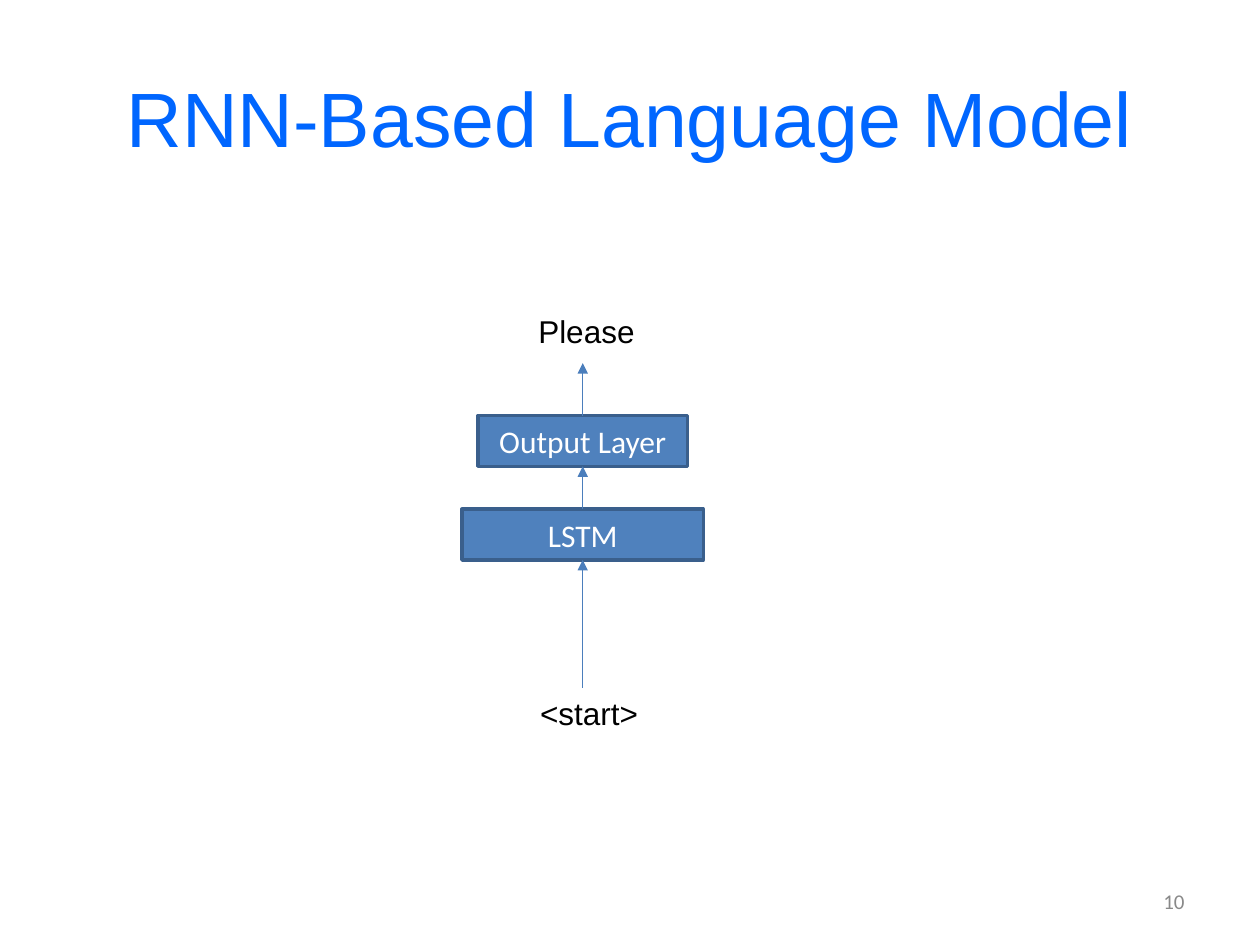
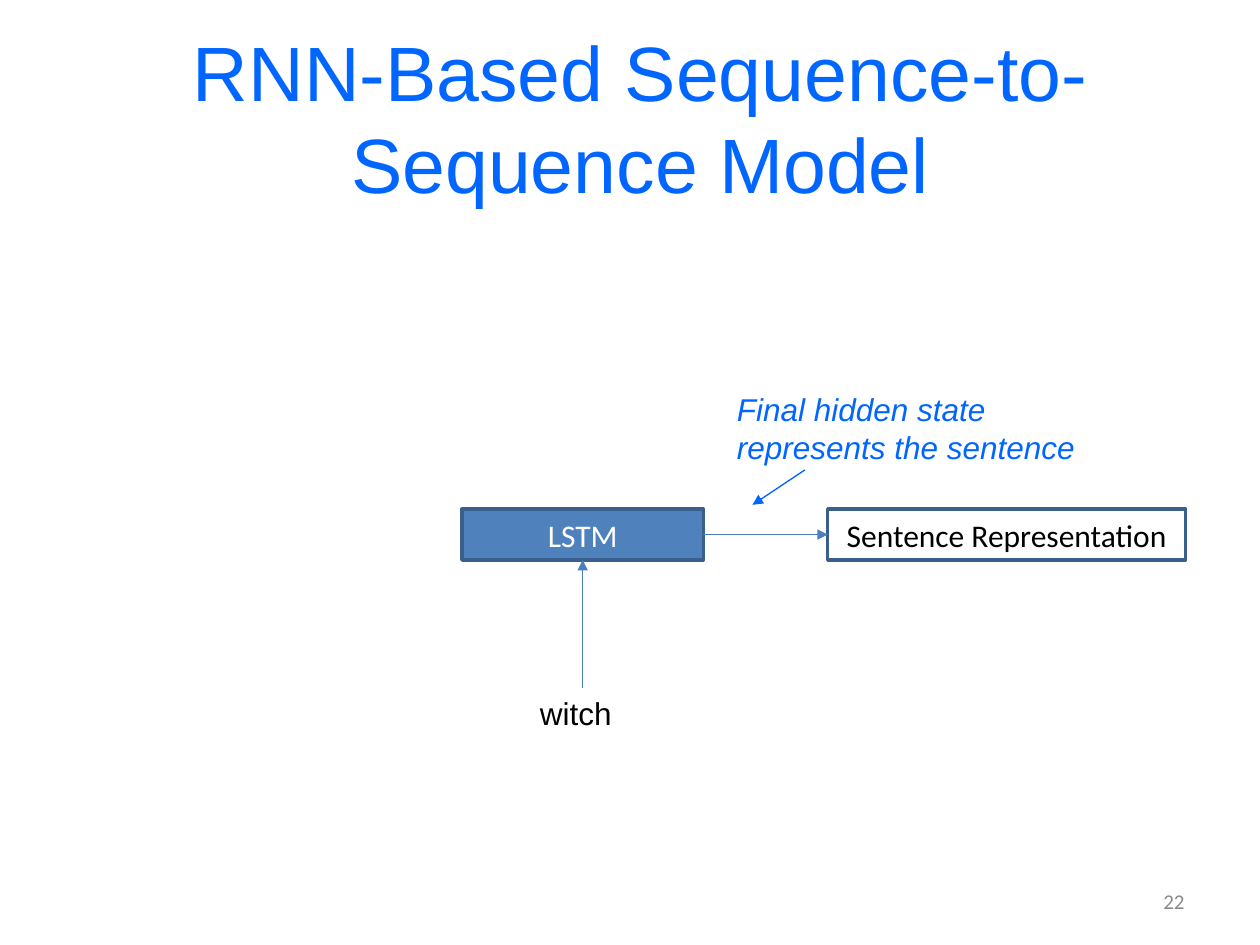
import pptx
import pptx.dml.color
import pptx.enum.shapes
import pptx.enum.text
import pptx.util
from lxml import etree

Pt = pptx.util.Pt
RGBColor = pptx.dml.color.RGBColor
ALIGN = pptx.enum.text.PP_ALIGN
ANCHOR = pptx.enum.text.MSO_ANCHOR

BLUE = RGBColor(0x00, 0x66, 0xFF)
BOX_FILL = RGBColor(0x4F, 0x81, 0xBD)
BOX_LINE = RGBColor(0x3A, 0x5F, 0x8C)
ARROW = RGBColor(0x4B, 0x7E, 0xBC)
GREY = RGBColor(0x89, 0x89, 0x89)
BLACK = RGBColor(0x00, 0x00, 0x00)
WHITE = RGBColor(0xFF, 0xFF, 0xFF)

TITLE_FONT = "Arial"
BOX_FONT = "Calibri"

BOX_HEIGHT = 29
LSTM_LEFT, LSTM_TOP, LSTM_WIDTH = 264, 291, 138
LSTM_CENTRE = LSTM_LEFT + LSTM_WIDTH / 2
LSTM_MIDDLE = LSTM_TOP + BOX_HEIGHT / 2
OUTPUT_TOP, OUTPUT_WIDTH = 237.5, 120
SENTENCE_LEFT, SENTENCE_WIDTH = 473, 204.5
INPUT_TOP = 393


class SlideBuilder:
    def __init__(self, deck):
        self.deck = deck
        self.slide = None

    def start_slide(self, title, number, title_width=648):
        self.slide = self.deck.slides.add_slide(self.deck.slide_layouts[6])
        self.text(title, 36, 21.6, title_width, 90, size=44, color=BLUE,
                  align=ALIGN.CENTER, anchor=ANCHOR.MIDDLE)
        self.text(number, 516, 500.5, 168, 28.75, size=12, color=GREY,
                  font=BOX_FONT, align=ALIGN.RIGHT, anchor=ANCHOR.MIDDLE)

    def fill_text(self, shape, text, size, color, font, align, anchor, italic=False):
        frame = shape.text_frame
        frame.text = text
        frame.vertical_anchor = anchor
        for para in frame.paragraphs:
            para.alignment = align
            for span in para.runs:
                span.font.size = Pt(size)
                span.font.name = font
                span.font.italic = italic
                span.font.color.rgb = color

    def text(self, text, left, top, width, height, size=18, color=BLACK,
             font=TITLE_FONT, align=ALIGN.LEFT, anchor=ANCHOR.TOP,
             italic=False, wrap=True):
        box = self.slide.shapes.add_textbox(Pt(left), Pt(top), Pt(width), Pt(height))
        self.fill_text(box, text, size, color, font, align, anchor, italic)
        box.text_frame.word_wrap = wrap

    def word(self, text, left, top, width):
        self.text(text, left, top, width, BOX_HEIGHT, wrap=False)

    def layer(self, text, left, top, width, filled=True):
        box = self.slide.shapes.add_shape(
            pptx.enum.shapes.MSO_SHAPE.RECTANGLE,
            Pt(left), Pt(top), Pt(width), Pt(BOX_HEIGHT))
        box.shadow.inherit = False
        if filled:
            box.fill.solid()
            box.fill.fore_color.rgb = BOX_FILL
        else:
            box.fill.background()
        box.line.color.rgb = BOX_LINE
        box.line.width = Pt(2)
        self.fill_text(box, text, 18, WHITE if filled else BLACK, BOX_FONT,
                       ALIGN.CENTER, ANCHOR.MIDDLE)
        box.text_frame.word_wrap = True

    def arrow(self, start, end, color=ARROW):
        line = self.slide.shapes.add_connector(
            pptx.enum.shapes.MSO_CONNECTOR.STRAIGHT,
            Pt(start[0]), Pt(start[1]), Pt(end[0]), Pt(end[1]))
        line.line.color.rgb = color
        line.line.width = Pt(0.75)
        outline = line.line._get_or_add_ln()
        namespace = etree.QName(outline).namespace
        etree.SubElement(outline, f"{{{namespace}}}tailEnd", type="triangle")
        etree.SubElement(outline.getparent(), f"{{{namespace}}}effectLst")

    def lstm_with_input(self, word, word_width):
        self.layer("LSTM", LSTM_LEFT, LSTM_TOP, LSTM_WIDTH)
        self.arrow((LSTM_CENTRE, INPUT_TOP), (LSTM_CENTRE, LSTM_TOP + BOX_HEIGHT))
        self.word(word, 301.5, INPUT_TOP, word_width)


def language_model(builder):
    builder.start_slide("RNN-Based Language Model", "10")
    builder.lstm_with_input("<start>", 71)
    builder.layer("Output Layer", LSTM_CENTRE - OUTPUT_WIDTH / 2, OUTPUT_TOP, OUTPUT_WIDTH)
    builder.arrow((LSTM_CENTRE, LSTM_TOP), (LSTM_CENTRE, OUTPUT_TOP + BOX_HEIGHT))
    builder.arrow((LSTM_CENTRE, OUTPUT_TOP), (LSTM_CENTRE, 207.5))
    builder.word("Please", 300.5, 174.5, 70)


def sequence_model(builder):
    builder.start_slide("RNN-Based Sequence-to-Sequence Model", "22", title_width=660)
    builder.lstm_with_input("witch", 56)
    builder.layer("Sentence Representation", SENTENCE_LEFT, LSTM_TOP,
                  SENTENCE_WIDTH, filled=False)
    builder.arrow((LSTM_LEFT + LSTM_WIDTH, LSTM_MIDDLE), (SENTENCE_LEFT, LSTM_MIDDLE))
    builder.text("Final hidden state\nrepresents the sentence", 414, 219.5, 236, 51,
                 color=BLUE, italic=True)
    builder.arrow((460, 268.5), (430, 288.5), BLUE)


def main():
    deck = pptx.Presentation()
    deck.slide_width, deck.slide_height = Pt(720), Pt(540)
    builder = SlideBuilder(deck)
    language_model(builder)
    sequence_model(builder)
    deck.save("out.pptx")


if __name__ == "__main__":
    main()
